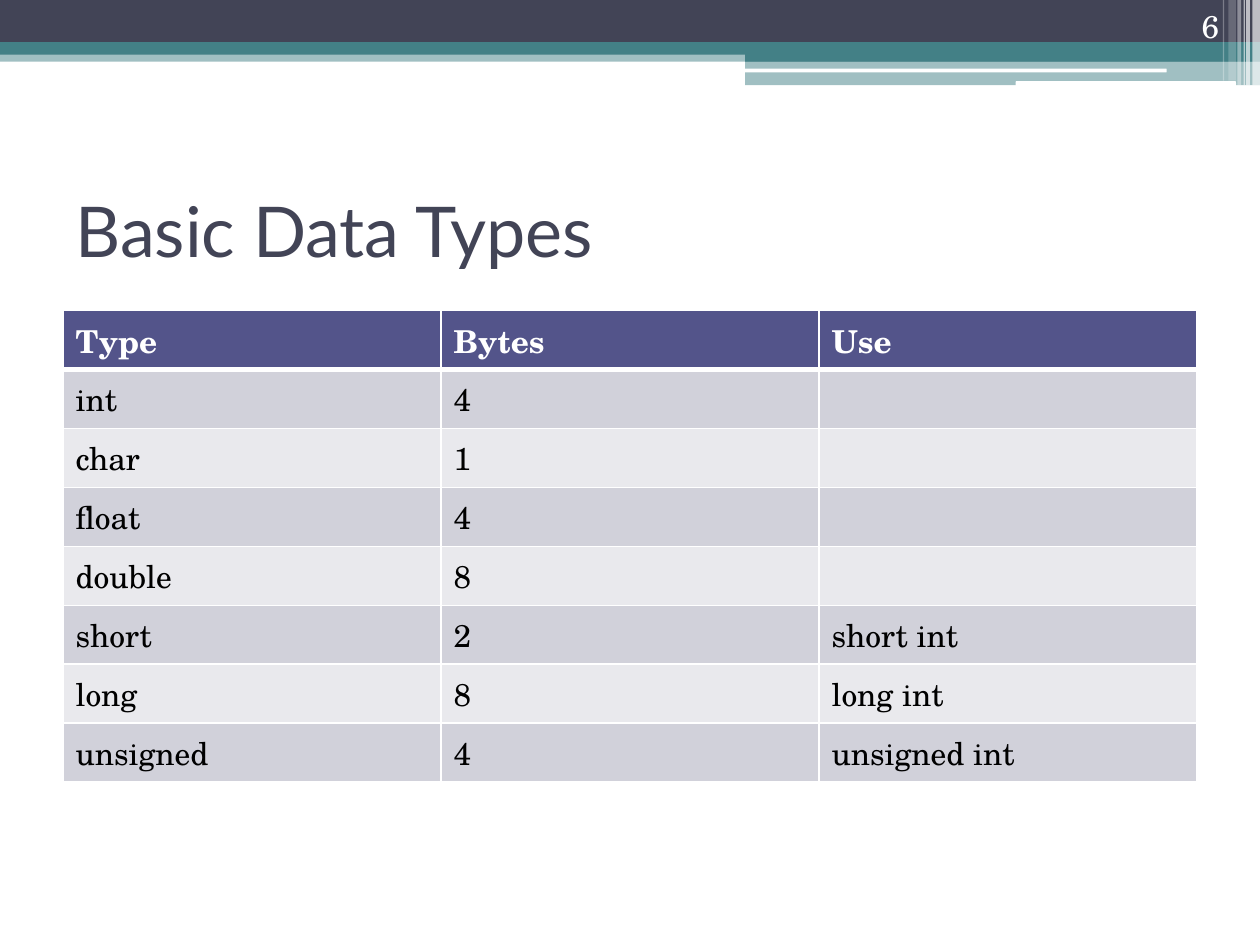
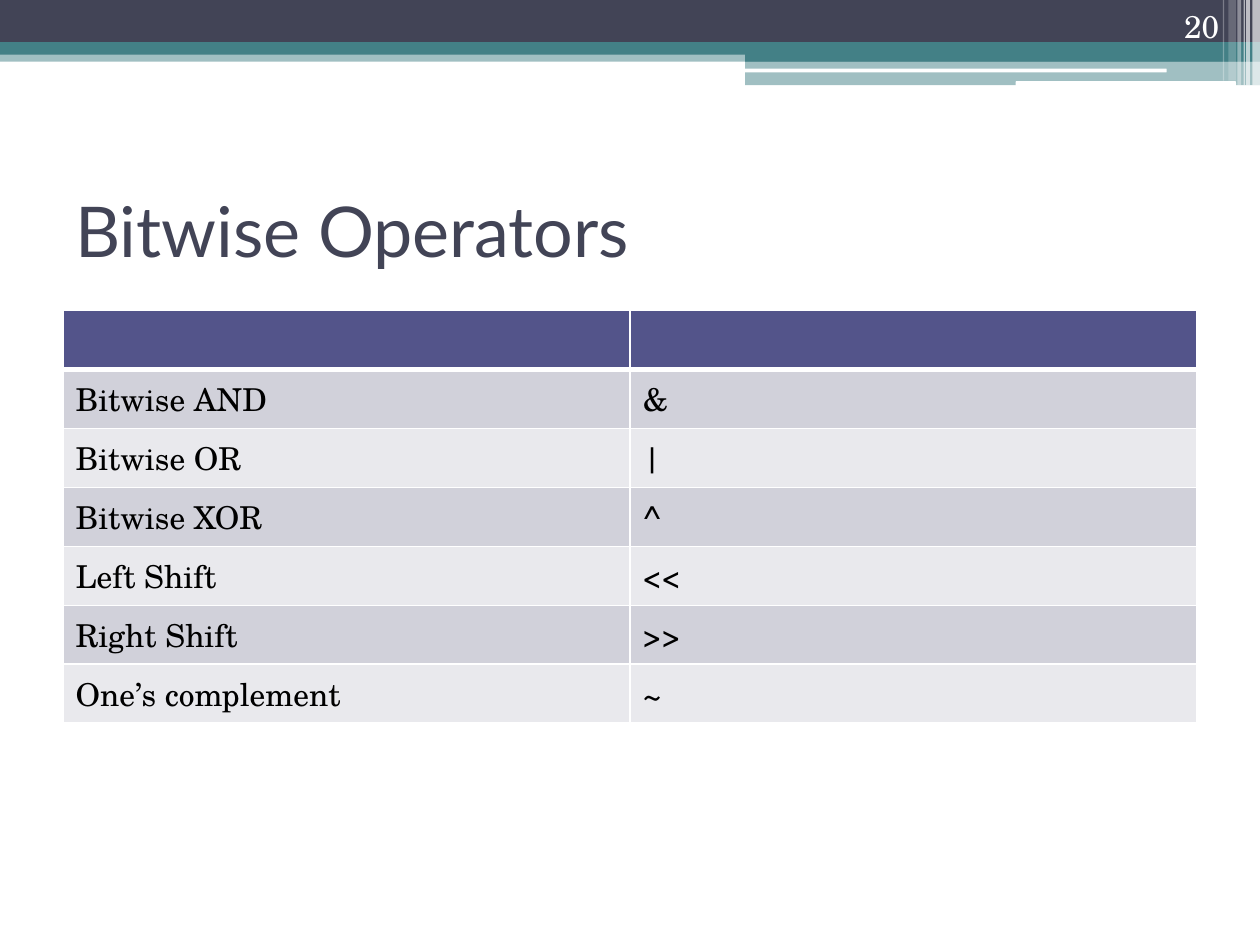
from dataclasses import dataclass

from lxml import etree
from pptx import Presentation
from pptx.dml.color import RGBColor
from pptx.enum.shapes import MSO_SHAPE
from pptx.enum.text import MSO_ANCHOR, PP_ALIGN
from pptx.oxml.ns import qn
from pptx.util import Emu, Inches, Pt

RECT, ROUNDED = MSO_SHAPE.RECTANGLE, MSO_SHAPE.ROUNDED_RECTANGLE
LEFT, RIGHT = PP_ALIGN.LEFT, PP_ALIGN.RIGHT
TOP, MIDDLE, BOTTOM = MSO_ANCHOR.TOP, MSO_ANCHOR.MIDDLE, MSO_ANCHOR.BOTTOM

WHITE = RGBColor(0xFF, 0xFF, 0xFF)
BLACK = RGBColor(0x00, 0x00, 0x00)
SLATE = RGBColor(0x42, 0x44, 0x56)
TEAL = RGBColor(0x43, 0x80, 0x86)
INDIGO = RGBColor(0x53, 0x54, 0x8A)
ROW_DARK = RGBColor(0xD1, 0xD1, 0xDA)
ROW_LIGHT = RGBColor(0xE9, 0xE9, 0xED)

TITLE_FONT, BODY_FONT = "Lato", "TeX Gyre Schola"

# The slide is a grid of 100 columns by 75 rows
SLIDE_W, SLIDE_H = Inches(10), Inches(7.5)
GRID_COLUMNS, GRID_ROWS = 100, 75


def columns(count: float) -> Emu:
    return Emu(round(SLIDE_W * count / GRID_COLUMNS))


def rows(count: float) -> Emu:
    return Emu(round(SLIDE_H * count / GRID_ROWS))


@dataclass(frozen=True)
class Box:
    left: float
    top: float
    width: float
    height: float

    def place(self) -> tuple[Emu, Emu, Emu, Emu]:
        return columns(self.left), rows(self.top), columns(self.width), rows(self.height)


@dataclass(frozen=True)
class Band:
    box: Box
    color: RGBColor
    opacity: int = 100
    outline: int = RECT


@dataclass(frozen=True)
class TableSlide:
    number: int
    title: str
    header: tuple[str, ...]
    body: tuple[tuple[str, ...], ...]


TITLE_BOX = Box(5, 12.4, 90, 11.7)
NUMBER_BOX = Box(89.45, 0.05, 8.3, 4)
TABLE_LEFT, TABLE_TOP, TABLE_WIDTH, ROW_HEIGHT = 5, 24.65, 90, 4.68

# Horizontal bands, then the thin strips at the right edge
BANDS = [
    Band(Box(0, 4, 100, 0.9), TEAL, 50),
    Band(Box(0, 0, 100, 3.4), SLATE),
    Band(Box(0, 3.35, 100, 1), TEAL),
    Band(Box(59.15, 3.9, 40.85, 1), TEAL),
    Band(Box(59.15, 4.85, 40.85, 1.9), TEAL, 50),
    Band(Box(59.1, 5.45, 33.5, 0.3), WHITE, outline=ROUNDED),
    Band(Box(80.6, 6.45, 17.5, 0.4), WHITE, outline=ROUNDED),
] + [
    Band(Box(left, 0, width, height), WHITE, opacity)
    for left, width, height, opacity in (
        (99.4, 0.6, 6.8, 65),
        (98.9, 0.3, 6.8, 65),
        (98.7, 0.1, 6.8, 60),
        (98.2, 0.3, 6.8, 40),
        (97.5, 0.6, 6.4, 20),
        (97.05, 0.1, 6.4, 30),
    )
]

SLIDES = [
    TableSlide(6, "Basic Data Types", ("Type", "Bytes", "Use"), (
        ("int", "4", ""),
        ("char", "1", ""),
        ("float", "4", ""),
        ("double", "8", ""),
        ("short", "2", "short int"),
        ("long", "8", "long int"),
        ("unsigned", "4", "unsigned int"),
    )),
    TableSlide(20, "Bitwise Operators", ("", ""), (
        ("Bitwise AND", "&"),
        ("Bitwise OR", "|"),
        ("Bitwise XOR", "^"),
        ("Left Shift", "<<"),
        ("Right Shift", ">>"),
        ("One’s complement", "~"),
    )),
]


def write(frame, text: str, *, font: str = BODY_FONT, size: float = 18,
          color: RGBColor = BLACK, bold: bool = False, align: int = LEFT) -> None:
    paragraph = frame.paragraphs[0]
    paragraph.alignment = align
    if not text:
        # An empty cell keeps the line height of its font
        end = etree.SubElement(paragraph._p, qn("a:endParaRPr"), sz=str(size * 100))
        etree.SubElement(end, qn("a:latin"), typeface=font)
        return
    run = paragraph.add_run()
    run.text = text
    run.font.name = font
    run.font.size = Pt(size)
    run.font.bold = bold
    run.font.color.rgb = color


def add_text(slide, box: Box, text: str, anchor: int, **style) -> None:
    frame = slide.shapes.add_textbox(*box.place()).text_frame
    frame.word_wrap = True
    frame.vertical_anchor = anchor
    write(frame, text, **style)


def add_band(slide, band: Band) -> None:
    shape = slide.shapes.add_shape(band.outline, *band.box.place())
    shape.shadow.inherit = False
    shape.line.fill.background()
    shape.fill.solid()
    shape.fill.fore_color.rgb = band.color
    if band.opacity < 100:
        color = shape._element.spPr.find(".//" + qn("a:srgbClr"))
        etree.SubElement(color, qn("a:alpha"), val=str(band.opacity * 1000))


def add_borders(cell, top: float, bottom: float) -> None:
    properties = cell._tc.get_or_add_tcPr()
    edges = (("a:lnL", 1), ("a:lnR", 1), ("a:lnT", top), ("a:lnB", bottom))
    for position, (tag, width) in enumerate(edges):
        line = etree.Element(qn(tag), w=str(Pt(width)))
        fill = etree.SubElement(line, qn("a:solidFill"))
        etree.SubElement(fill, qn("a:srgbClr"), val=str(WHITE))
        properties.insert(position, line)


def add_data_table(slide, content: TableSlide) -> None:
    lines = (content.header, *content.body)
    box = Box(TABLE_LEFT, TABLE_TOP, TABLE_WIDTH, ROW_HEIGHT * len(lines))
    table = slide.shapes.add_table(len(lines), len(content.header), *box.place()).table
    table.horz_banding = False
    for column in table.columns:
        column.width = columns(TABLE_WIDTH / len(content.header))
    for row_index, line in enumerate(lines):
        table.rows[row_index].height = rows(ROW_HEIGHT)
        is_header = row_index == 0
        banding = ROW_DARK if row_index % 2 else ROW_LIGHT
        for column_index, text in enumerate(line):
            cell = table.cell(row_index, column_index)
            cell.vertical_anchor = TOP
            cell.fill.solid()
            cell.fill.fore_color.rgb = INDIGO if is_header else banding
            add_borders(cell, top=3 if row_index == 1 else 1, bottom=3 if is_header else 1)
            write(cell.text_frame, text, bold=is_header, color=WHITE if is_header else BLACK)


def add_table_slide(deck, content: TableSlide) -> None:
    slide = deck.slides.add_slide(deck.slide_layouts[6])
    for band in BANDS:
        add_band(slide, band)
    add_text(slide, TITLE_BOX, content.title, MIDDLE, font=TITLE_FONT, size=40, color=SLATE)
    add_data_table(slide, content)
    add_text(slide, NUMBER_BOX, str(content.number), BOTTOM, color=WHITE, align=RIGHT)


def main() -> None:
    deck = Presentation()
    deck.slide_width, deck.slide_height = SLIDE_W, SLIDE_H
    for content in SLIDES:
        add_table_slide(deck, content)
    deck.save("out.pptx")


if __name__ == "__main__":
    main()
